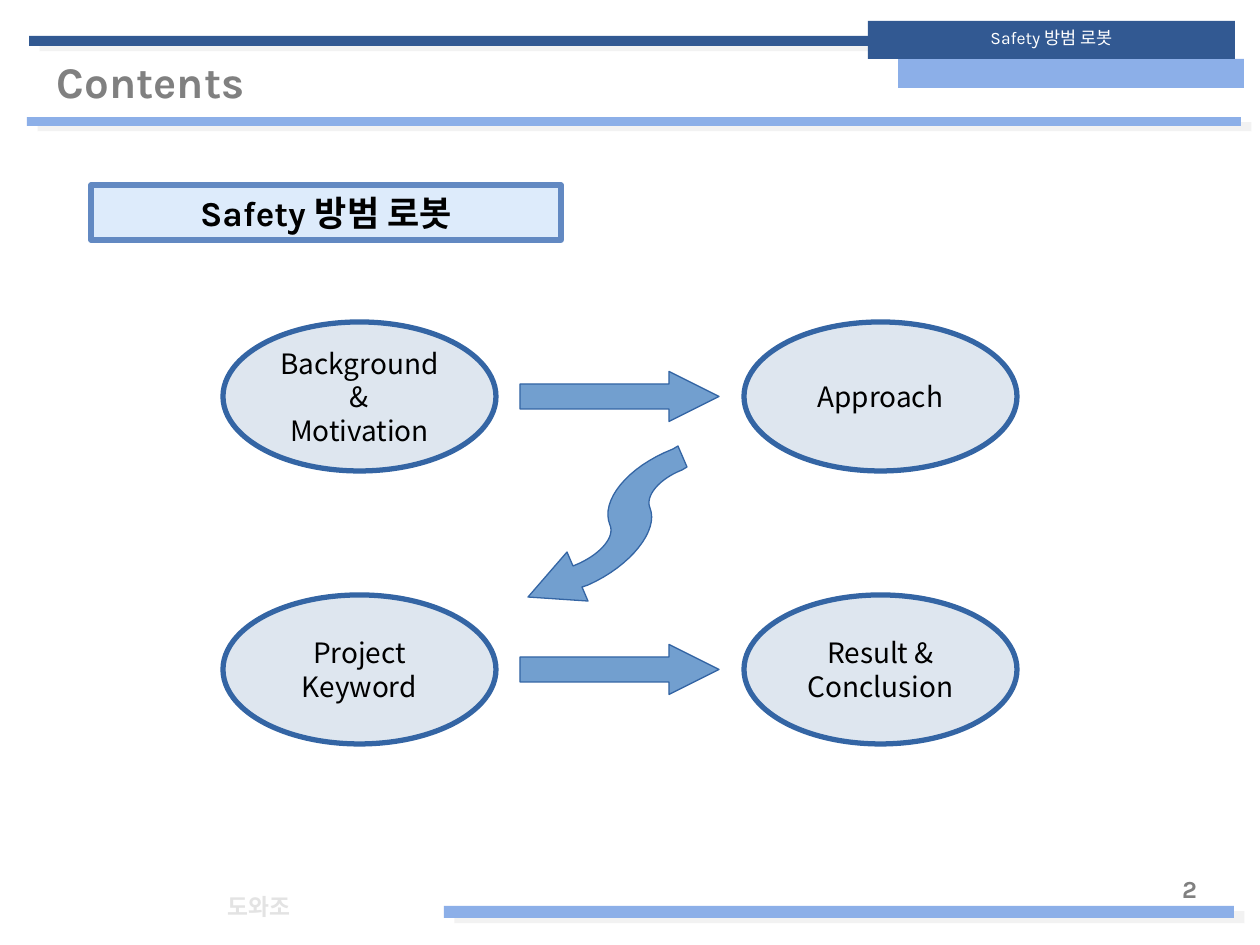
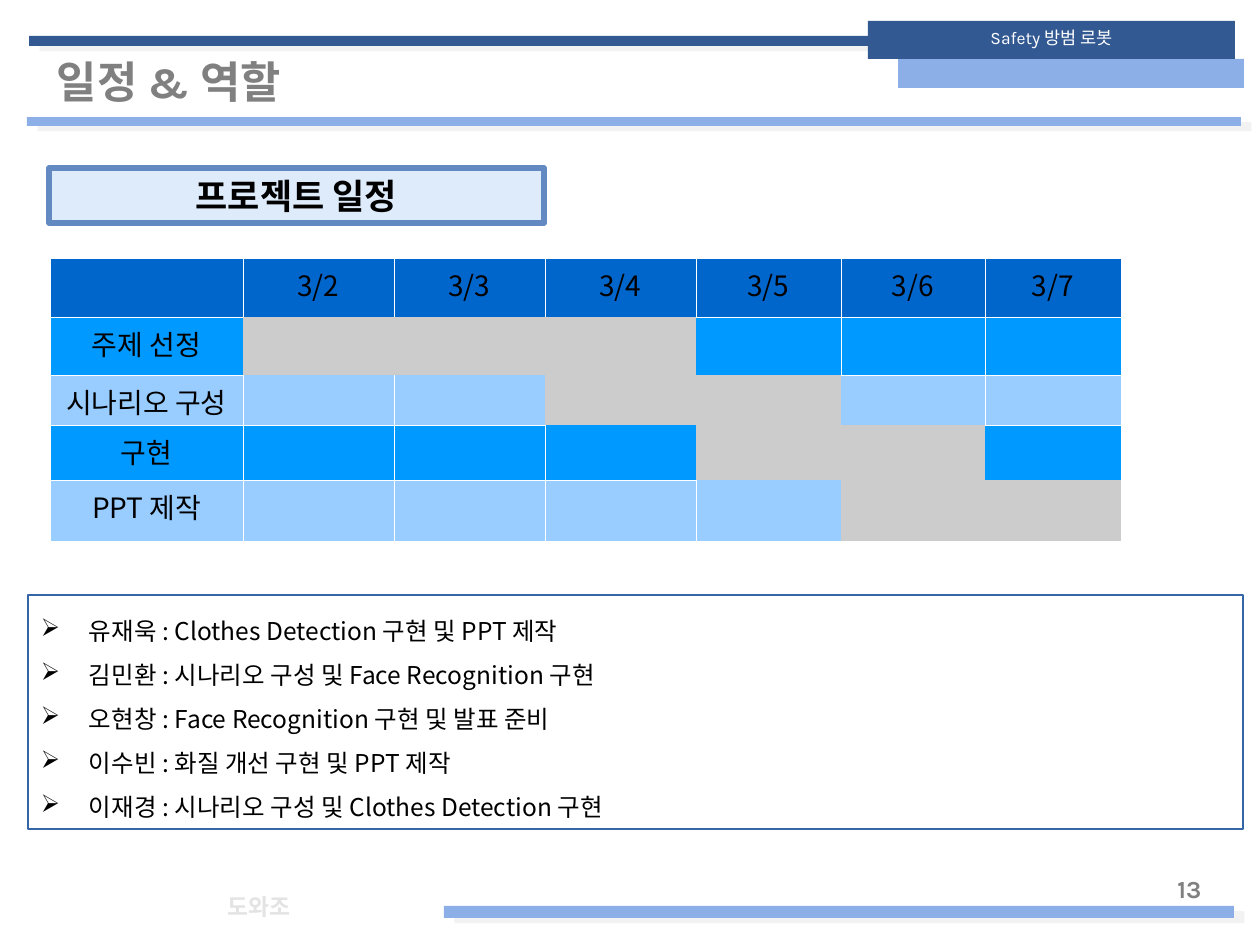
from lxml import etree
from pptx import Presentation
from pptx import util as u
from pptx.dml.color import RGBColor
from pptx.enum import shapes, text
from pptx.oxml.ns import qn

# ---- Content ----
PROJECT = "Safety 방범 로봇"
TEAM = "도와조"

CONTENTS = dict(title="Contents", page="2", banner=(PROJECT, 91, 185, 470, 55))
TOPICS = [["Background & Motivation", "Approach"],
          ["Project Keyword", "Result & Conclusion"]]

SCHEDULE = dict(title="일정 & 역할", page="13", banner=("프로젝트 일정", 49, 168, 495, 55))
DATES = ["3/2", "3/3", "3/4", "3/5", "3/6", "3/7"]
TASKS = [  # name, first and last busy column
    ("주제 선정", 1, 3),
    ("시나리오 구성", 3, 4),
    ("구현", 4, 5),
    ("PPT 제작", 5, 6),
]
ROLES = [
    "유재욱 : Clothes Detection 구현 및 PPT 제작",
    "김민환 : 시나리오 구성 및 Face Recognition 구현",
    "오현창 : Face Recognition 구현 및 발표 준비",
    "이수빈 : 화질 개선 구현 및 PPT 제작",
    "이재경 : 시나리오 구성 및 Clothes Detection 구현",
]

# ---- Shared style ----
NAVY, SKY, STEEL, PALE = "325992", "8CAFE8", "3465A4", "DEE6EF"
ARROW, GREY, BLACK, WHITE = "729FCF", "808080", "000000", "FFFFFF"
HEADER, ROW_FILLS, BUSY = "0066CC", ["0099FF", "99CCFF"], "CCCCCC"
KARLA, NOTO = "Karla", "Noto Sans CJK KR"
CENTER, LEFT = text.PP_ALIGN.CENTER, text.PP_ALIGN.LEFT
TOP, MIDDLE = text.MSO_ANCHOR.TOP, text.MSO_ANCHOR.MIDDLE
RECT = shapes.MSO_SHAPE.RECTANGLE
BODY = dict(name=NOTO, size=16, color=BLACK)
BANNER = dict(name=KARLA, size=20, color=BLACK, bold=True)
TITLE = dict(name=KARLA, size=25, color=GREY, bold=True)
NUMBER = dict(TITLE, size=14)

BANDS = [  # x, y, w, h, fill, has shadow
    (444, 906, 790, 12, SKY, True),
    (29, 36, 888, 10, NAVY, True),
    (27, 117, 1214, 9, SKY, True),
    (898, 59, 346, 29, SKY, False),
]

# Contents grid
OVAL_X, OVAL_Y, OVAL_W, OVAL_H = 223, 322, 273, 149
STEP_X, STEP_Y = 521, 273
ARROW_W, ARROW_H = 199, 50

# Curved arrow outline: two numbers make a line, six make a curve
CURVE_START = (588, 585)
CURVE = [
    (631, 566, 659, 530, 650, 508), (645, 496, 659, 479, 682, 470),
    (687, 467), (678, 446), (673, 449),
    (627, 467, 600, 501, 610, 525), (615, 537, 601, 553, 580, 563),
    (573, 566), (567, 552), (528, 597), (588, 601), (582, 587),
]

# Timetable grid
COLS = [193, 151, 151, 151, 145, 144, 136]
ROWS = [59, 58, 50, 55, 61]


def px(n):
    return u.Emu(round(n * 914400 / 126))


def rgb(value):
    return RGBColor.from_string(value)


def sub(parent, tag, **attrs):
    return etree.SubElement(parent, qn(tag), {k: str(v) for k, v in attrs.items()})


def style_run(r, name, size, color, bold=False):
    for key, value in dict(name=name, size=u.Pt(size), bold=bold).items():
        setattr(r.font, key, value)
    r.font.color.rgb = rgb(color)
    sub(r.font._element, "a:ea", typeface=NOTO)


def write(tf, lines, font, align=CENTER, anchor=TOP, inset=(13, 6), bullet=None):
    side, edge = inset
    frame = dict(word_wrap=True, vertical_anchor=anchor,
                 margin_left=px(side), margin_right=px(side),
                 margin_top=px(edge), margin_bottom=px(edge))
    for key, value in frame.items():
        setattr(tf, key, value)
    for i, line in enumerate(lines):
        p = tf.paragraphs[0] if i == 0 else tf.add_paragraph()
        p.alignment = align
        if bullet:
            pr = p._p.get_or_add_pPr()
            pr.set("marL", str(px(48)))
            pr.set("indent", str(-px(48)))
            sub(sub(pr, "a:buClr"), "a:srgbClr", val=BLACK)
            sub(pr, "a:buChar", char=bullet)
            p.line_spacing = 1.5
        r = p.add_run()
        r.text = line
        style_run(r, **font)


def paint(sp, fill=None, line=None, width=0):
    sp.shadow.inherit = False
    if fill:
        sp.fill.solid()
        sp.fill.fore_color.rgb = rgb(fill)
    else:
        sp.fill.background()
    if line:
        sp.line.color.rgb = rgb(line)
        sp.line.width = u.Pt(width)
    else:
        sp.line.fill.background()
    return sp


def add_shape(s, kind, x, y, w, h, **look):
    return paint(s.shapes.add_shape(kind, px(x), px(y), px(w), px(h)), **look)


def add_text(s, words, x, y, w, h, font, align=CENTER):
    box = s.shapes.add_textbox(px(x), px(y), px(w), px(h))
    write(box.text_frame, [words], font, align)


def add_shadow(sp):
    effects = sp._element.spPr.find(qn("a:effectLst"))
    shadow = sub(effects, "a:outerShdw", blurRad=0, dist=u.Pt(6.7),
                 dir=26 * 60000, algn="ctr", rotWithShape=0)
    sub(sub(shadow, "a:srgbClr", val="E7E6E6"), "a:alpha", val=50000)


def add_page(prs, title, page, banner):
    s = prs.slides.add_slide(prs.slide_layouts[6])
    for x, y, w, h, fill, shaded in BANDS:
        band = add_shape(s, RECT, x, y, w, h, fill=fill)
        if shaded:
            add_shadow(band)
    tab = add_shape(s, RECT, 868, 21, 367, 38, fill=NAVY)
    write(tab.text_frame, [PROJECT], dict(name=KARLA, size=10, color=WHITE))
    add_text(s, TEAM, 184, 887, 150, 40, dict(NUMBER, size=13, color="E3E3E3"))
    add_text(s, title, 44, 49, 1138, 68, TITLE, LEFT)
    add_text(s, page, 1149, 868, 81, 58, NUMBER)
    words, *place = banner
    sp = add_shape(s, RECT, *place, fill="DDEBFB", line="6289C2", width=3)
    write(sp.text_frame, [words], BANNER, inset=(14, 6))
    return s


def bezier(start, x1, y1, x2, y2, x3, y3, steps=16):
    xs, ys = (start[0], x1, x2, x3), (start[1], y1, y2, y3)
    for i in range(1, steps + 1):
        t = i / steps
        weights = ((1 - t) ** 3, 3 * t * (1 - t) ** 2, 3 * t * t * (1 - t), t ** 3)
        yield tuple(sum(a * b for a, b in zip(weights, v)) for v in (xs, ys))


def add_curved_arrow(s):
    points = [CURVE_START]
    for seg in CURVE:
        points += [seg] if len(seg) == 2 else bezier(points[-1], *seg)
    points = [(px(x), px(y)) for x, y in points]
    fb = s.shapes.build_freeform(*points[0])
    fb.add_line_segments(points[1:], close=True)
    paint(fb.convert_to_shape(), fill=ARROW, line=STEEL)


def add_topics(s):
    for row, topics in enumerate(TOPICS):
        y = OVAL_Y + row * STEP_Y
        for col, topic in enumerate(topics):
            sp = add_shape(s, shapes.MSO_SHAPE.OVAL, OVAL_X + col * STEP_X, y,
                           OVAL_W, OVAL_H, fill=PALE, line=STEEL, width=3)
            write(sp.text_frame, [topic], BODY, anchor=MIDDLE, inset=(15, 9))
        arrow = add_shape(s, shapes.MSO_SHAPE.RIGHT_ARROW, 520,
                          y + (OVAL_H - ARROW_H) / 2, ARROW_W, ARROW_H,
                          fill=ARROW, line=STEEL)
        arrow.adjustments[0], arrow.adjustments[1] = 0.5, 1.0
    add_curved_arrow(s)


def is_busy(row, col):
    return 1 <= row <= len(TASKS) and TASKS[row - 1][1] <= col <= TASKS[row - 1][2]


def set_borders(cell, row, col):
    """White hairlines, left out wherever a busy cell is on either side."""
    pr = cell._tc.get_or_add_tcPr()
    for tag, dr, dc in (("L", 0, -1), ("R", 0, 1), ("T", -1, 0), ("B", 1, 0)):
        ln = sub(pr, "a:ln" + tag, w=u.Pt(0.06))
        if is_busy(row, col) or is_busy(row + dr, col + dc):
            sub(ln, "a:noFill")
        else:
            sub(sub(ln, "a:solidFill"), "a:srgbClr", val=WHITE)


def add_timetable(s):
    frame = s.shapes.add_table(len(ROWS), len(COLS), px(50), px(258),
                               px(sum(COLS)), px(sum(ROWS)))
    table = frame.table
    table.first_row = table.horz_banding = False
    for column, w in zip(table.columns, COLS):
        column.width = px(w)
    for row, h in enumerate(ROWS):
        table.rows[row].height = px(h)
        words = [""] + DATES if row == 0 else [TASKS[row - 1][0]] + [""] * len(DATES)
        base = HEADER if row == 0 else ROW_FILLS[(row - 1) % 2]
        for col, word in enumerate(words):
            cell = table.cell(row, col)
            set_borders(cell, row, col)
            cell.fill.solid()
            cell.fill.fore_color.rgb = rgb(BUSY if is_busy(row, col) else base)
            if word:
                p = cell.text_frame.paragraphs[0]
                p.alignment = CENTER
                r = p.add_run()
                r.text = word
                style_run(r, **BODY)
            else:
                cell.margin_top = cell.margin_bottom = 0
    for row, (_, first, last) in enumerate(TASKS, 1):
        table.cell(row, first).merge(table.cell(row, last))


def add_roles(s):
    sp = add_shape(s, RECT, 28, 595, 1215, 234, line=STEEL, width=0.79)
    write(sp.text_frame, ROLES, dict(BODY, size=14), LEFT, bullet="➢")


def main():
    prs = Presentation()
    prs.slide_width, prs.slide_height = px(1260), px(945)
    add_topics(add_page(prs, **CONTENTS))
    s = add_page(prs, **SCHEDULE)
    add_timetable(s)
    add_roles(s)
    prs.save("out.pptx")


if __name__ == "__main__":
    main()
